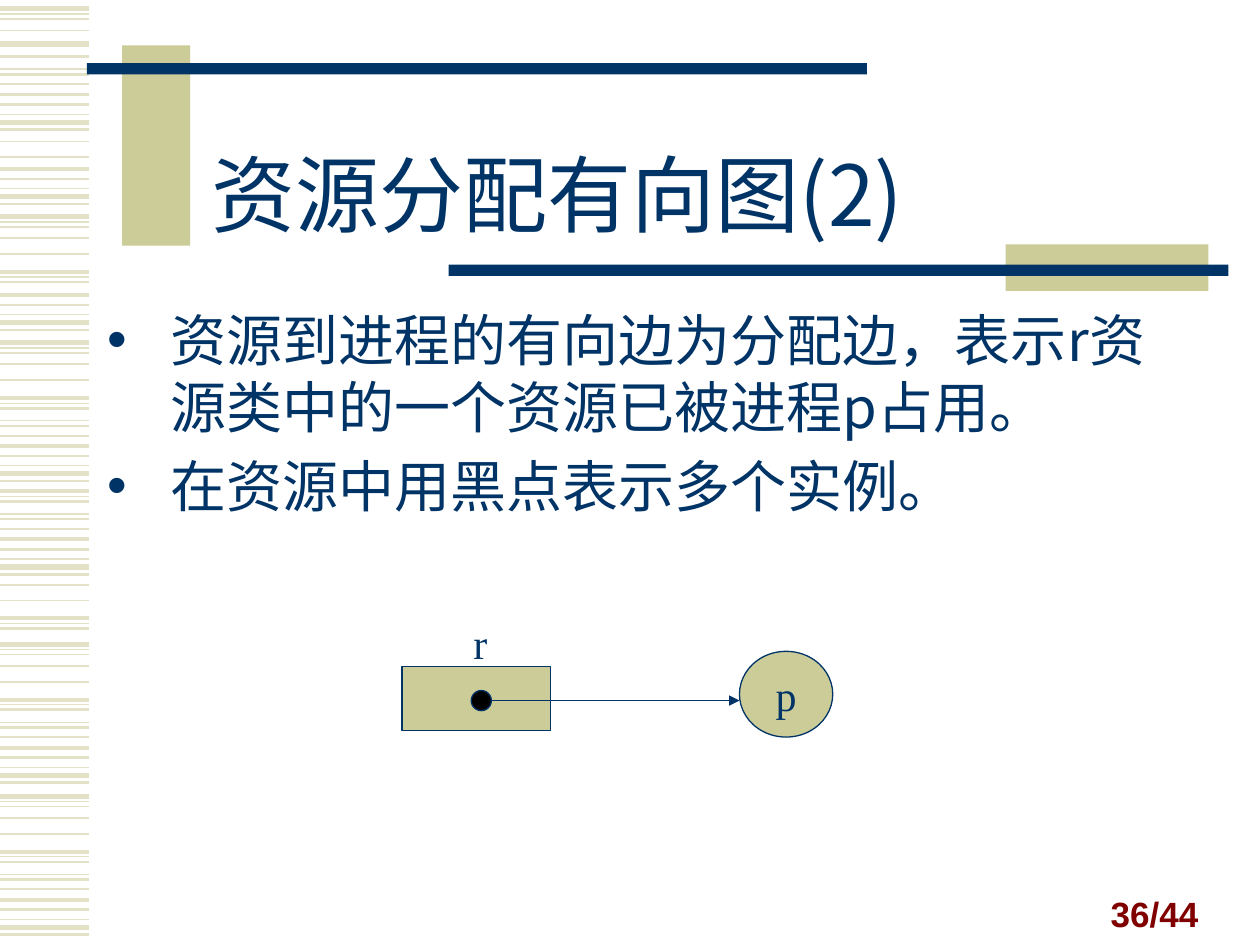
import pptx
import pptx.util
import pptx.dml.color
import pptx.enum.shapes
import pptx.enum.text
import pptx.oxml
import pptx.oxml.ns

Pt = pptx.util.Pt
ALIGN = pptx.enum.text.PP_ALIGN
ANCHOR = pptx.enum.text.MSO_ANCHOR
SHAPE = pptx.enum.shapes.MSO_SHAPE

COLORS = {"navy": "003366", "khaki": "CCCC99", "stripe": "E3E2C7",
          "black": "000000", "maroon": "800000"}
SANS, SERIF = "Noto Sans CJK SC", "Times New Roman"

TITLE = "资源分配有向图(2)"
BULLETS = ["资源到进程的有向边为分配边，表示r资源类中的一个资源已被进程p占用。",
           "在资源中用黑点表示多个实例。"]
PAGE_NUMBER = "36/44"

STRIPE_WIDTH = 51.1
STRIPE_PATTERN = [(0, 3), (3.1, 0.75), (5.9, 1), (12.4, 1), (21.5, 1), (31.7, 2.25),
                  (34.6, 0.75), (37.5, 1.5), (44.6, 0.75), (47.6, 1.5), (53.2, 1),
                  (59.1, 2.25), (64.8, 1.5), (70.4, 0.75), (74.9, 3), (79.1, 1.5)]
STRIPE_RUNS = [(5, 0, 4), (25.2, 0, 1), (-5.1, 7, 16), (37.5, 11, 16), (68.4, 3, 5),
               (109.4, 11, 16), (123.7, 0, 8), (195.8, 0, 16), (249.1, 5, 16),
               (321.7, 3, 8), (368.1, 0, 16), (455, 0, 16)]

BARS = [((69.8, 25.9, 38.9, 114.5), "khaki"), ((49.7, 36, 445.7, 6.5), "navy"),
        ((574.6, 139.7, 115.9, 26.6), "khaki"), ((256.3, 151.2, 445.7, 6.5), "navy")]
PROCESS_BOX = (422.6, 372.2, 53.3, 49)
RESOURCE_BOX = (229.7, 380.9, 85, 36.7)
INSTANCE_BOX = (269.3, 394.6, 11.5, 11.5)


def rgb(name):
    return pptx.dml.color.RGBColor.from_string(COLORS[name])


def points(values):
    return [Pt(value) for value in values]


def write(paragraph, text, size, font=SANS, color="navy", bold=False, align=None,
          line_height=None, space_before=0, indent=None):
    if indent is not None:
        properties = paragraph._p.get_or_add_pPr()
        properties.set("marL", str(Pt(indent)))
        properties.set("indent", str(-Pt(indent)))
        properties.append(pptx.oxml.parse_xml(
            f'<a:buChar {pptx.oxml.ns.nsdecls("a")} char="•"/>'))
    paragraph.alignment = align
    paragraph.space_before = Pt(space_before)
    if line_height:
        paragraph.line_spacing = Pt(line_height)
    run = paragraph.add_run()
    run.text = text
    run.font.size = Pt(size)
    run.font.bold = bold
    run.font.color.rgb = rgb(color)
    run.font.name = font
    run._r.get_or_add_rPr().append(pptx.oxml.parse_xml(
        f'<a:ea {pptx.oxml.ns.nsdecls("a")} typeface="{font}"/>'))


def place(shape, box, anchor=ANCHOR.TOP, wrap=True, margin_top=3.6):
    shape.left, shape.top, shape.width, shape.height = points(box)
    frame = shape.text_frame
    frame.word_wrap = wrap
    frame.auto_size = pptx.enum.text.MSO_AUTO_SIZE.NONE
    frame.vertical_anchor = anchor
    frame.margin_top = Pt(margin_top)
    return frame


def add_figure(slide, kind, box, fill, line=None):
    shape = slide.shapes.add_shape(kind, *points(box))
    shape.shadow.inherit = False
    shape.fill.solid()
    shape.fill.fore_color.rgb = rgb(fill)
    if line:
        shape.line.color.rgb = rgb(line)
        shape.line.width = Pt(0.75)
    else:
        shape.line.fill.background()
    return shape


def add_line(slide, ends, color, width, arrow=False):
    line = slide.shapes.add_connector(
        pptx.enum.shapes.MSO_CONNECTOR.STRAIGHT, *points(ends))
    line.line.color.rgb = rgb(color)
    line.line.width = Pt(width)
    namespace = pptx.oxml.ns.nsdecls("a")
    if arrow:
        line.line._get_or_add_ln().append(
            pptx.oxml.parse_xml(f'<a:tailEnd {namespace} type="triangle"/>'))
    line._element.spPr.append(pptx.oxml.parse_xml(f"<a:effectLst {namespace}/>"))


def add_background(slide):
    for start, first, last in STRIPE_RUNS:
        for offset, width in STRIPE_PATTERN[first:last]:
            y = start + offset
            add_line(slide, (0, y, STRIPE_WIDTH, y), "stripe", width)
    for box, color in BARS:
        add_figure(slide, SHAPE.RECTANGLE, box, color)


def add_text(slide):
    body = place(slide.placeholders[1], (54, 167.8, 631.4, 131), margin_top=6.8)
    for index, text in enumerate(BULLETS):
        paragraph = body.add_paragraph() if index else body.paragraphs[0]
        write(paragraph, text, 32, line_height=38.4, indent=36,
              space_before=6.4 if index else 0)
    title = place(slide.shapes.title, (113.8, 72, 501.1, 64.8), margin_top=9.3)
    title.margin_bottom = 0
    write(title.paragraphs[0], TITLE, 48, line_height=57.6, align=ALIGN.LEFT)
    number = place(slide.shapes.add_textbox(0, 0, 0, 0), (519.1, 501.8, 172.8, 36),
                   anchor=ANCHOR.BOTTOM)
    write(number.paragraphs[0], PAGE_NUMBER, 20, font="Arial", color="maroon",
          bold=True, align=ALIGN.RIGHT)


def add_diagram(slide):
    process = add_figure(slide, SHAPE.OVAL, PROCESS_BOX, "khaki", "navy")
    frame = place(process, PROCESS_BOX, anchor=ANCHOR.MIDDLE)
    write(frame.paragraphs[0], "p", 24, font=SERIF, align=ALIGN.CENTER)
    add_figure(slide, SHAPE.RECTANGLE, RESOURCE_BOX, "khaki", "navy")
    label = place(slide.shapes.add_textbox(0, 0, 0, 0), (263.5, 349.2, 22.4, 36),
                  wrap=False)
    write(label.paragraphs[0], "r", 24, font=SERIF)
    left, top, width, height = INSTANCE_BOX
    y = top + height / 2
    add_line(slide, (left + width, y, PROCESS_BOX[0], y), "navy", 0.75, arrow=True)
    add_figure(slide, SHAPE.OVAL, INSTANCE_BOX, "black", "navy")


def main():
    presentation = pptx.Presentation()
    presentation.slide_width, presentation.slide_height = Pt(720), Pt(540)
    slide = presentation.slides.add_slide(presentation.slide_layouts[1])
    add_background(slide)
    add_text(slide)
    add_diagram(slide)
    presentation.save("out.pptx")


if __name__ == "__main__":
    main()
